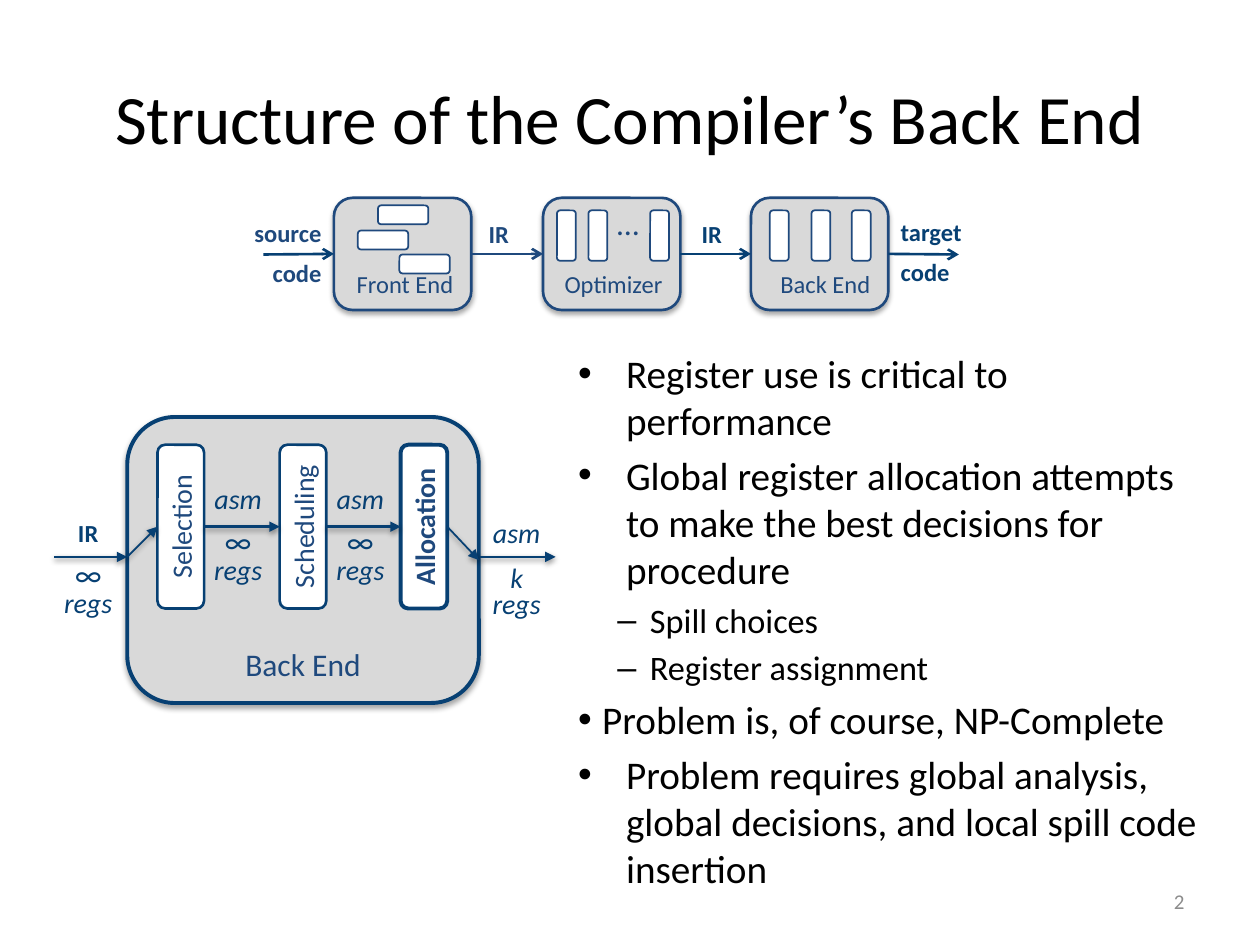
from dataclasses import dataclass
from typing import Any, Optional

import lxml.etree
import pptx
import pptx.dml.color
import pptx.enum.shapes
import pptx.enum.text
import pptx.oxml.ns
import pptx.util

Inches = pptx.util.Inches
qn = pptx.oxml.ns.qn
Align = pptx.enum.text.PP_ALIGN
Anchor = pptx.enum.text.MSO_ANCHOR
TOP, LEFT, BOTTOM, RIGHT = range(4)


@dataclass(frozen=True)
class Theme:
    font: str = "Calibri"
    black: str = "000000"
    white: str = "FFFFFF"
    panel: str = "D9D9D9"
    blue: str = "1F497D"
    navy: str = "074073"
    muted: str = "8C8C8C"
    title: float = 39.6
    body: float = 22.4
    detail: float = 19.6
    heading: float = 18
    label: float = 16
    small: float = 14
    footer: float = 12


THEME = Theme()


@dataclass(frozen=True)
class Box:
    left: float
    top: float
    width: float
    height: float


@dataclass(frozen=True)
class Bullet:
    text: str
    level: int = 0
    margin: float = 0.38
    hanging: float = 0.38


@dataclass(frozen=True)
class Phase:
    name: str
    left: float
    line_width: float = 1.5
    bold: bool = False


@dataclass(frozen=True)
class Joint:
    shape: Any
    side: int


BULLETS = [
    Bullet("Register use is critical to performance"),
    Bullet("Global register allocation attempts to make the best decisions for procedure"),
    Bullet("Spill choices", 1, 0.57, 0.26),
    Bullet("Register assignment", 1, 0.57, 0.26),
    Bullet("Problem is, of course, NP-Complete", 0, 0.19, 0.19),
    Bullet("Problem requires global analysis, global decisions, and local spill code insertion"),
]
STAGES = [("Front End", 2.65), ("Optimizer", 4.31), ("Back End", 5.96)]
PASSES = [
    Box(3, 1.63, 0.4, 0.15), Box(2.84, 1.83, 0.4, 0.15), Box(3.17, 2.02, 0.4, 0.15),
    *[Box(left, 1.67, 0.15, 0.4) for left in (4.42, 4.67, 5.16, 6.11, 6.44, 6.76)],
]
PHASES = [
    Phase("Selection", 1.25),
    Phase("Scheduling", 2.22),
    Phase("Allocation", 3.18, 2.25, True),
]


def rgb(color: str) -> pptx.dml.color.RGBColor:
    return pptx.dml.color.RGBColor.from_string(color)


def place(box: Box) -> tuple:
    return tuple(Inches(value) for value in (box.left, box.top, box.width, box.height))


def write(frame: Any, text: str, *, size: float, color: str = THEME.navy, bold: bool = False,
          italic: bool = False, align: Any = Align.LEFT, before: float = 0,
          line_height: Optional[float] = None) -> Any:
    paragraph = frame.add_paragraph() if frame.text else frame.paragraphs[0]
    paragraph.alignment = align
    paragraph.space_before = pptx.util.Pt(before)
    if line_height:
        paragraph.line_spacing = pptx.util.Pt(line_height)
    run = paragraph.add_run()
    run.text = text
    run.font.name, run.font.size = THEME.font, pptx.util.Pt(size)
    run.font.bold, run.font.italic = bold, italic
    run.font.color.rgb = rgb(color)
    return paragraph


def set_effect(shape: Any, opacity: int, distance: float) -> None:
    properties = shape.element.spPr
    effects = properties.find(qn("a:effectLst"))
    if effects is None:
        effects = lxml.etree.SubElement(properties, qn("a:effectLst"))
    if opacity:
        shadow = lxml.etree.SubElement(
            effects, qn("a:outerShdw"), blurRad=str(pptx.util.Pt(3.1)),
            dist=str(pptx.util.Pt(distance)), dir="5400000", rotWithShape="0")
        color = lxml.etree.SubElement(shadow, qn("a:srgbClr"), val=THEME.black)
        lxml.etree.SubElement(color, qn("a:alpha"), val=str(opacity * 1000))


def add_text_box(shapes: Any, box: Box, anchor: Any = Anchor.TOP) -> Any:
    frame = shapes.add_textbox(*place(box)).text_frame
    frame.word_wrap = True
    frame.vertical_anchor = anchor
    return frame


def add_panel(shapes: Any, box: Box, fill: str, line: str, width: float,
              shadow: bool = False) -> Any:
    shape = shapes.add_shape(pptx.enum.shapes.MSO_SHAPE.ROUNDED_RECTANGLE, *place(box))
    shape.shadow.inherit = False
    shape.fill.solid()
    shape.fill.fore_color.rgb = rgb(fill)
    shape.line.color.rgb = rgb(line)
    shape.line.width = pptx.util.Pt(width)
    shape.text_frame.word_wrap = True
    shape.text_frame.vertical_anchor = Anchor.BOTTOM
    if shadow:
        set_effect(shape, 35, 1.8)
    return shape


def add_arrow(shapes: Any, start: tuple, end: tuple, begin_joint: Optional[Joint] = None,
              end_joint: Optional[Joint] = None, *, color: str = THEME.navy,
              width: float = 1.5, head: str = "triangle", shadow: int = 38) -> None:
    connector = shapes.add_connector(
        pptx.enum.shapes.MSO_CONNECTOR.STRAIGHT, *[Inches(value) for value in start + end])
    if begin_joint:
        connector.begin_connect(begin_joint.shape, begin_joint.side)
    if end_joint:
        connector.end_connect(end_joint.shape, end_joint.side)
    connector.line.color.rgb = rgb(color)
    connector.line.width = pptx.util.Pt(width)
    line = connector.element.spPr.find(qn("a:ln"))
    lxml.etree.SubElement(line, qn("a:tailEnd"), type=head)
    set_effect(connector, shadow, 1.6)


def add_bullets(shapes: Any) -> None:
    frame = add_text_box(shapes, Box(4.49, 2.72, 5.18, 3.86))
    for index, bullet in enumerate(BULLETS):
        size = THEME.detail if bullet.level else THEME.body
        paragraph = write(frame, bullet.text, size=size, color=THEME.black,
                          before=round(size * 0.2, 1) if index else 0)
        paragraph.level = bullet.level
        properties = paragraph._p.get_or_add_pPr()
        properties.set("marL", str(Inches(bullet.margin)))
        properties.set("indent", str(Inches(-bullet.hanging)))
        lxml.etree.SubElement(properties, qn("a:buFont"), typeface="Arial")
        lxml.etree.SubElement(properties, qn("a:buChar"), char="–" if bullet.level else "•")


def add_pipeline(shapes: Any) -> None:
    stages = []
    for name, left in STAGES:
        stage = add_panel(shapes, Box(left, 1.57, 1.09, 0.89), THEME.panel, THEME.blue, 1.5, True)
        write(stage.text_frame, name, size=THEME.small, color=THEME.blue, align=Align.RIGHT)
        stages.append(stage)
    for index, left in enumerate((2.09, 3.74, 5.4, 7.05)):
        add_arrow(shapes, (left, 2.02), (left + 0.56, 2.02),
                  Joint(stages[index - 1], RIGHT) if index else None,
                  Joint(stages[index], LEFT) if index < len(stages) else None,
                  color=THEME.blue if index == 1 else THEME.navy, head="arrow", shadow=0)
    for box, lines, color, align in (
        (Box(3.78, 1.69, 0.4, 0.34), ["IR"], THEME.blue, Align.LEFT),
        (Box(5.47, 1.69, 0.4, 0.34), ["IR"], THEME.navy, Align.LEFT),
        (Box(1.83, 1.68, 0.82, 0.66), ["source", "code"], THEME.blue, Align.RIGHT),
        (Box(7.05, 1.67, 0.82, 0.66), ["target", "code"], THEME.navy, Align.LEFT),
    ):
        frame = add_text_box(shapes, box)
        for index, text in enumerate(lines):
            write(frame, text, size=THEME.small, color=color, bold=True, align=align,
                  before=6 * index)
    for box in PASSES:
        add_panel(shapes, box, THEME.white, THEME.blue, 1)
    write(add_text_box(shapes, Box(4.8, 1.57, 0.37, 0.4)), "…", size=THEME.heading,
          color=THEME.blue)


def add_flow_label(shapes: Any, left: float, top: float, form: str, count: str) -> None:
    frame = add_text_box(shapes, Box(left, top, 0.68, 0.96))
    is_code, is_infinite = form == "asm", count == "∞"
    write(frame, form, size=THEME.label if is_code else THEME.small, bold=not is_code,
          italic=is_code, align=Align.CENTER)
    write(frame, count, size=THEME.heading if is_infinite else THEME.label,
          italic=not is_infinite, align=Align.CENTER, before=12, line_height=14)
    write(frame, "regs", size=THEME.label, italic=True, align=Align.CENTER, line_height=15)


def add_back_end(shapes: Any) -> None:
    panel = add_panel(shapes, Box(1.01, 3.31, 2.79, 2.27), THEME.panel, THEME.navy, 2.25, True)
    write(panel.text_frame, "Back End", size=THEME.heading, color=THEME.blue, align=Align.CENTER)
    phases = []
    for phase in PHASES:
        shape = add_panel(shapes, Box(phase.left, 3.53, 0.37, 1.3), THEME.white, THEME.navy,
                          phase.line_width)
        frame = shape.text_frame
        frame.margin_left = frame.margin_right = frame.margin_top = frame.margin_bottom = 0
        frame.vertical_anchor = Anchor.MIDDLE
        shape.element.txBody.bodyPr.set("vert", "vert270")
        write(frame, phase.name, size=THEME.label, color=THEME.blue, bold=phase.bold,
              align=Align.CENTER)
        phases.append(shape)
    add_arrow(shapes, (0.43, 4.42), (1.01, 4.42))
    add_arrow(shapes, (3.81, 4.42), (4.41, 4.42))
    add_arrow(shapes, (1.01, 4.42), (1.25, 4.18), None, Joint(phases[0], LEFT), width=1)
    add_arrow(shapes, (3.55, 4.18), (3.8, 4.44), Joint(phases[-1], RIGHT), Joint(panel, RIGHT),
              width=1)
    for before, after in zip(phases, phases[1:]):
        add_arrow(shapes, (1.62, 4.18), (2.22, 4.18), Joint(before, RIGHT), Joint(after, LEFT))
    for label in ((0.36, 4.06, "IR", "∞"), (1.55, 3.77, "asm", "∞"),
                  (2.52, 3.77, "asm", "∞"), (3.76, 4.04, "asm", "k")):
        add_flow_label(shapes, *label)


def main() -> None:
    presentation = pptx.Presentation()
    presentation.slide_width, presentation.slide_height = Inches(10), Inches(7.5)
    slide = presentation.slides.add_slide(presentation.slide_layouts[5])
    title = slide.shapes.title
    title.left, title.top, title.width, title.height = place(Box(0.5, 0.3, 9, 1.25))
    title.text_frame.vertical_anchor = Anchor.MIDDLE
    write(title.text_frame, "Structure of the Compiler’s Back End", size=THEME.title,
          color=THEME.black, align=Align.CENTER)
    add_bullets(slide.shapes)
    add_pipeline(slide.shapes.add_group_shape().shapes)
    add_back_end(slide.shapes.add_group_shape().shapes)
    write(add_text_box(slide.shapes, Box(7.17, 6.95, 2.33, 0.4), Anchor.MIDDLE), "2",
          size=THEME.footer, color=THEME.muted, align=Align.RIGHT)
    presentation.save("out.pptx")


if __name__ == "__main__":
    main()
